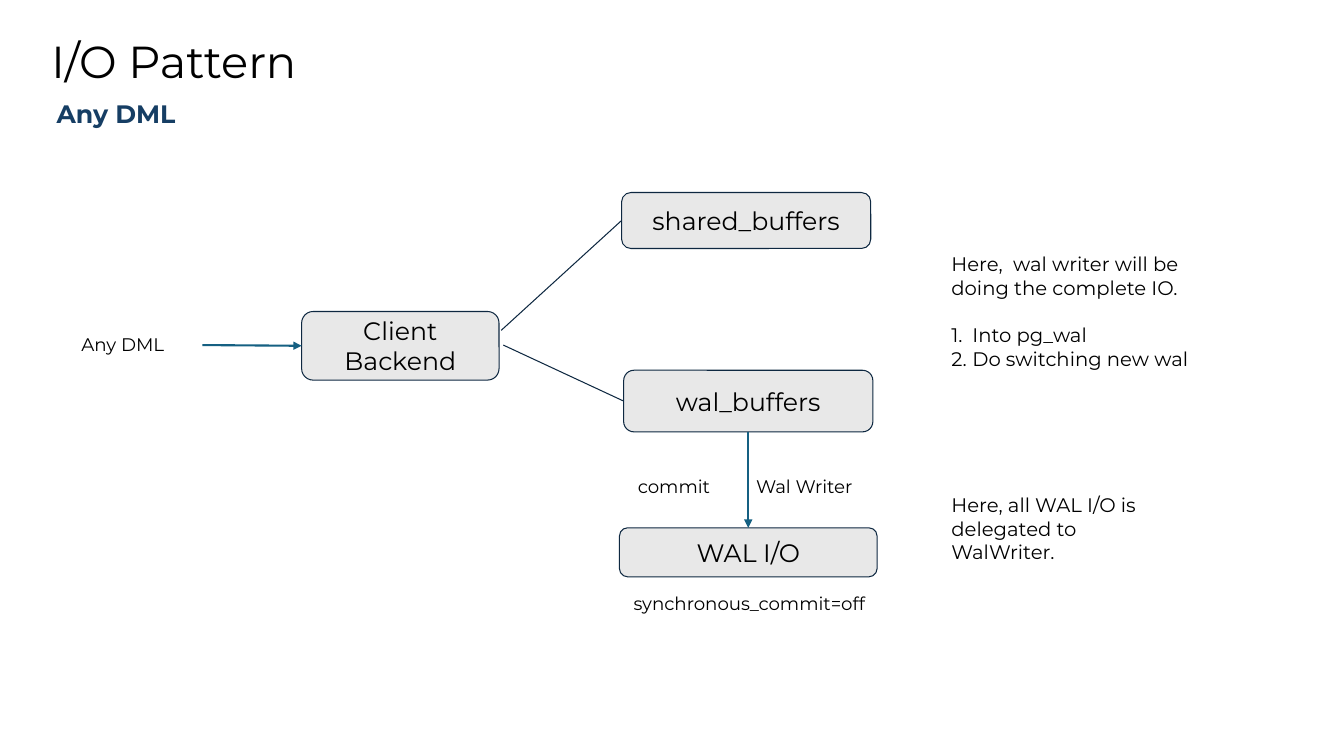
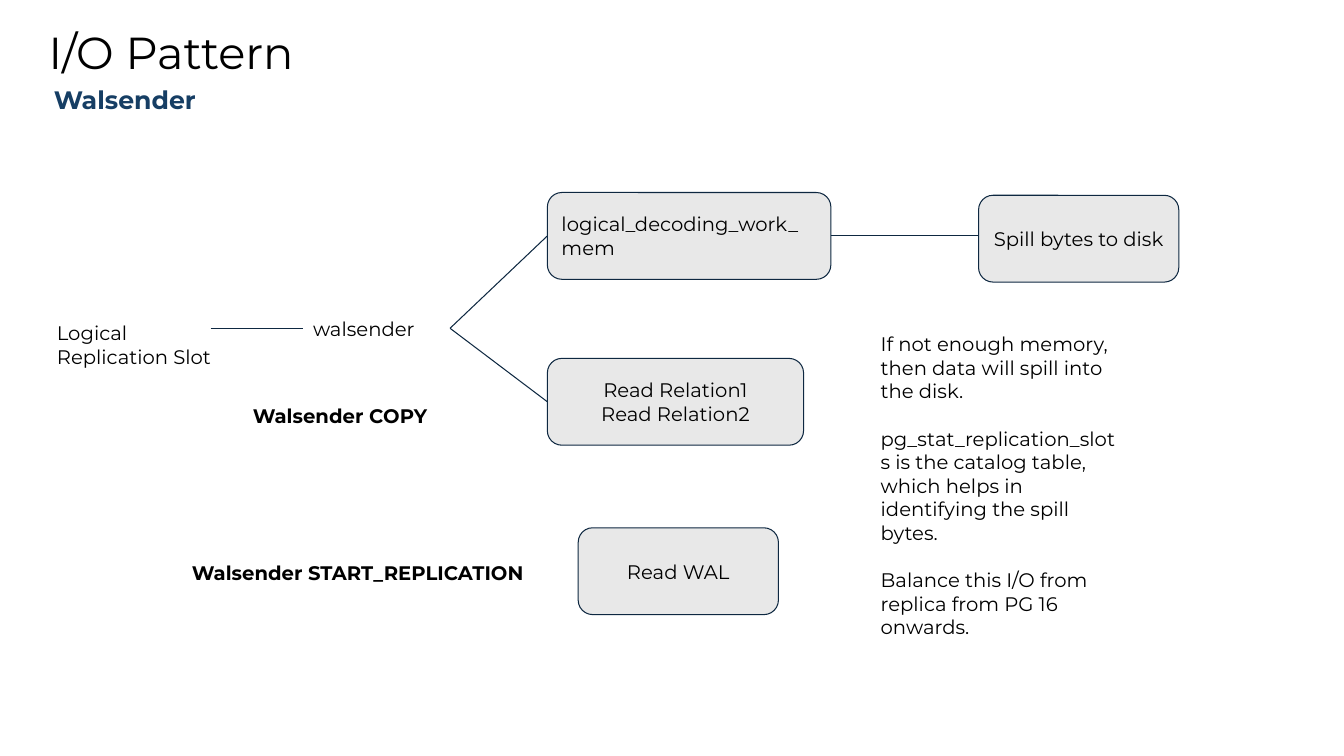
from lxml.etree import SubElement
from pptx import Presentation
from pptx.dml.color import RGBColor
from pptx.enum.shapes import MSO_CONNECTOR, MSO_SHAPE
from pptx.enum.text import MSO_ANCHOR, MSO_AUTO_SIZE, PP_ALIGN
from pptx.oxml.ns import qn
from pptx.util import Pt

FONT = "Montserrat"
BLACK, NAVY, BLUE, TEAL, GRAY = "000000", "0E2841", "163E64", "156082", "E8E8E8"
TOP, LEFT, BOTTOM, RIGHT = range(4)


def color(code):
    """Turn a hex string into a colour."""
    return RGBColor.from_string(code)


def style(para, size, code=BLACK, bold=False, align=PP_ALIGN.LEFT):
    """Set the font and alignment of one paragraph."""
    para.alignment = align
    font = para.font
    font.name, font.size, font.bold = FONT, Pt(size), bold
    font.color.rgb = color(code)


def write(frame, text, size, gap=0, pad=7.2, anchor=MSO_ANCHOR.TOP, **look):
    """Fill a text frame, one paragraph a line."""
    frame.word_wrap = True
    frame.auto_size = MSO_AUTO_SIZE.NONE
    frame.vertical_anchor = anchor
    frame.margin_left = frame.margin_right = Pt(pad)
    frame.margin_top = frame.margin_bottom = Pt(pad)
    frame.text = text
    for num, para in enumerate(frame.paragraphs):
        para.space_before = Pt(gap if num else 0)
        style(para, size, **look)


def label(slide, text, left, top, width, height, size=14, **look):
    """Add a text box and return its frame."""
    area = slide.shapes.add_textbox(Pt(left), Pt(top), Pt(width), Pt(height))
    write(area.text_frame, text, size, **look)
    return area.text_frame


def steps(frame, items, size, gap):
    """Append a numbered list to a text frame."""
    for num, item in enumerate(items):
        para = frame.add_paragraph()
        para.text = item
        para.space_before = Pt(0 if num else gap)
        props = para._p.get_or_add_pPr()
        props.set("marL", str(Pt(15)))
        props.set("indent", str(-Pt(15)))
        SubElement(props, qn("a:buAutoNum"), type="arabicPeriod")
        style(para, size)


def box(slide, text, left, top, width, height, size=14,
        kind=MSO_SHAPE.ROUNDED_RECTANGLE, align=PP_ALIGN.CENTER):
    """Add a gray rounded box with a thin navy outline."""
    shape = slide.shapes.add_shape(kind, Pt(left), Pt(top), Pt(width), Pt(height))
    shape.shadow.inherit = False
    shape.fill.solid()
    shape.fill.fore_color.rgb = color(GRAY)
    shape.line.color.rgb = color(NAVY)
    shape.line.width = Pt(0.75)
    write(shape.text_frame, text, size, anchor=MSO_ANCHOR.MIDDLE, align=align)
    return shape


def spot(end):
    """Find the point of an end: x and y, or a box and its side."""
    item, side = end
    if isinstance(item, (int, float)):
        return Pt(item), Pt(side)
    across = {LEFT: 0, RIGHT: item.width}.get(side, item.width // 2)
    down = {TOP: 0, BOTTOM: item.height}.get(side, item.height // 2)
    return item.left + across, item.top + down


def link(slide, start, end, arrow=False):
    """Draw a line or arrow, glued to any box it meets."""
    line = slide.shapes.add_connector(MSO_CONNECTOR.STRAIGHT, *spot(start), *spot(end))
    for (item, side), glue in ((start, line.begin_connect), (end, line.end_connect)):
        if not isinstance(item, (int, float)):
            glue(item, side)
    line.line.color.rgb = color(TEAL if arrow else NAVY)
    line.line.width = Pt(1.5 if arrow else 0.75)
    if arrow:
        SubElement(line.line._get_or_add_ln(), qn("a:tailEnd"), type="triangle")
    SubElement(line._element.spPr, qn("a:effectLst"))


def start(deck, topic, left, top, drop):
    """Add a slide with the shared title and its topic line."""
    slide = deck.slides.add_slide(deck.slide_layouts[5])
    title = slide.shapes.title
    title.left, title.top, title.width, title.height = Pt(left), Pt(top), Pt(302), Pt(52)
    write(title.text_frame, "I/O Pattern", 32)
    title.text_frame.paragraphs[0].line_spacing = 0.9
    frame = label(slide, topic, left + 11, top + drop, 230, 19.5, 18,
                  pad=0, code=BLUE, bold=True)
    frame.paragraphs[0].line_spacing = 0.9
    return slide


def dml(deck):
    """Build the slide on the path of any DML."""
    slide = start(deck, "Any DML", 29.5, 21.5, 51)
    client = box(slide, "Client Backend", 215.5, 222.5, 141, 49, 18)
    shared = box(slide, "shared_buffers", 444, 137.5, 178, 40, 18)
    wal = box(slide, "wal_buffers", 445.5, 264.5, 178, 44, 18)
    disk = box(slide, "WAL I/O", 442.5, 377, 184, 35, 18,
               MSO_SHAPE.FLOWCHART_ALTERNATE_PROCESS)
    link(slide, (358, 236), (shared, LEFT))
    link(slide, (359.5, 246.5), (wal, LEFT))
    link(slide, (wal, BOTTOM), (disk, TOP), arrow=True)
    link(slide, (144.5, 246.5), (client, LEFT), arrow=True)
    for text, left, top, width in (
        ("Any DML", 51, 231, 94),
        ("commit", 448.5, 332.5, 94),
        ("Wal Writer", 533, 332.5, 104),
        ("synchronous_commit=off", 445.5, 416, 194),
    ):
        label(slide, text, left, top, width, 30, 13)
    note = label(slide, "Here,  wal writer will be doing the complete IO.",
                 672.5, 173, 185, 99)
    steps(note, ("Into pg_wal", "Do switching new wal"), 14, 17)
    label(slide, "Here, all WAL I/O is delegated to WalWriter.", 672.5, 345, 173, 65.5)


def sender(deck):
    """Build the slide on the walsender."""
    slide = start(deck, "Walsender", 27.5, 15, 47.5)
    memory = box(slide, "logical_decoding_work_mem", 391, 137.5, 202.5, 62,
                 align=PP_ALIGN.LEFT)
    copy = box(slide, "Read Relation1\nRead Relation2", 391, 256, 183, 62)
    box(slide, "Read WAL", 413, 377, 143, 62)
    box(slide, "Spill bytes to disk", 699, 139.5, 143, 62)
    fork = 321.5, 234.5
    link(slide, fork, (memory, LEFT))
    link(slide, fork, (copy, LEFT))
    link(slide, (150.5, 234.5), (216.5, 234.5))
    link(slide, (memory, RIGHT), (699, 168.5))
    label(slide, "Logical\nReplication Slot", 33.5, 222, 134, 48)
    label(slide, "walsender", 216.5, 219.5, 104, 32)
    label(slide, "Walsender COPY", 173.5, 281.5, 156, 32, bold=True)
    label(slide, "Walsender START_REPLICATION", 130, 393.5, 283, 32, bold=True)
    label(slide, "If not enough memory, then data will spill into the disk.\n"
          "pg_stat_replication_slots is the catalog table, "
          "which helps in identifying the spill bytes.\n"
          "Balance this I/O from replica from PG 16 onwards.",
          622, 230, 183, 235, gap=17)


def main():
    """Build and save the deck."""
    deck = Presentation()
    deck.slide_width, deck.slide_height = Pt(960), Pt(540)
    dml(deck)
    sender(deck)
    deck.save("out.pptx")


if __name__ == "__main__":
    main()
